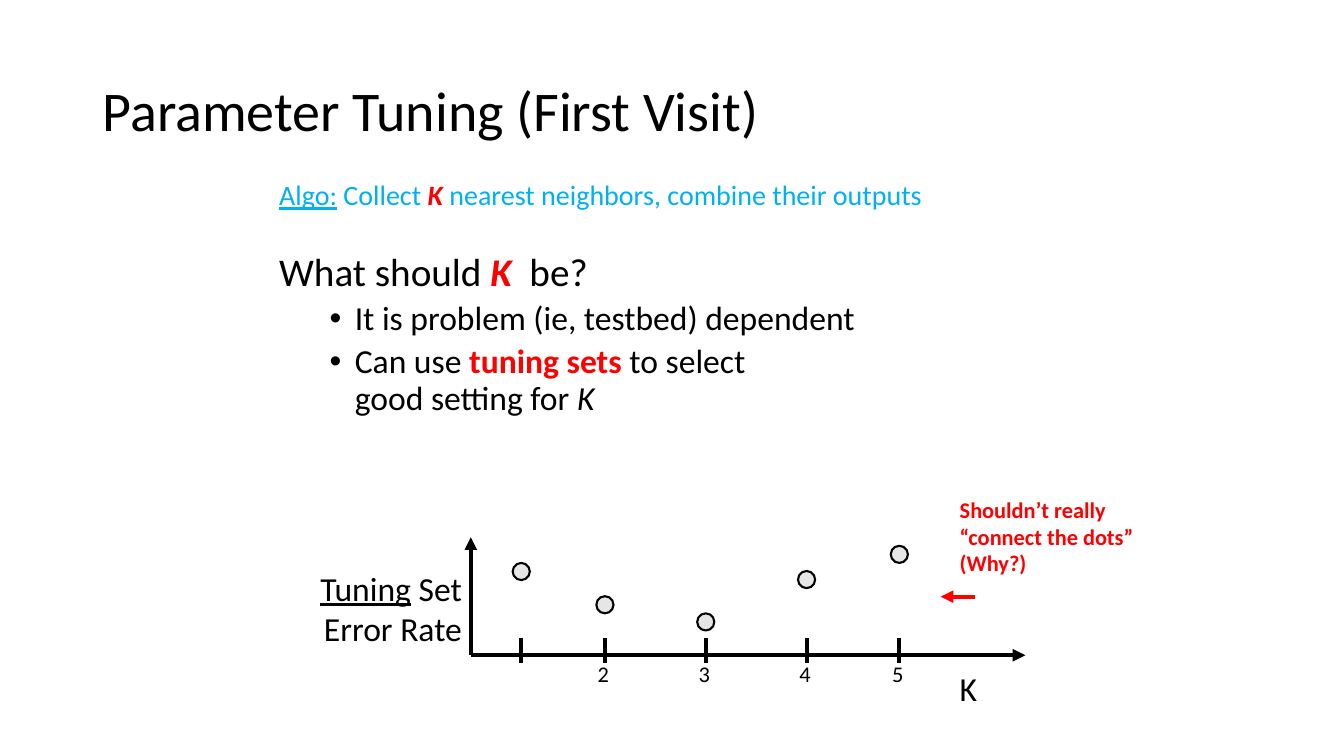
"""Build the slide on tuning K for nearest neighbors."""
from lxml.etree import SubElement
from pptx import Presentation
from pptx.dml.color import RGBColor
from pptx.enum.shapes import MSO_CONNECTOR, MSO_SHAPE
from pptx.enum.text import MSO_ANCHOR, PP_ALIGN
from pptx.oxml.ns import qn
from pptx.util import Inches, Pt

THEME = {
    "font": "Calibri",
    "black": RGBColor.from_string("000000"),
    "red": RGBColor.from_string("FF0000"),
    "blue": RGBColor.from_string("00B0F0"),
    "dot": RGBColor.from_string("E7E6E6"),
    "title": Pt(40),
    "question": Pt(28),
    "label": Pt(24),
    "algo": Pt(20),
    "small": Pt(16),
}
RED = {"color": "red"}
RED_BOLD = {"color": "red", "bold": True}
RED_K = {"color": "red", "bold": True, "italic": True}

prs = Presentation()
prs.slide_width, prs.slide_height = Inches(13.33), Inches(7.5)
s = prs.slides.add_slide(prs.slide_layouts[6])


def add_text(box, paragraphs, size, wrap=True, anchor=MSO_ANCHOR.TOP):
    """Add a text box; a paragraph is (paragraph format, runs)."""
    tf = s.shapes.add_textbox(*map(Inches, box)).text_frame
    tf.word_wrap, tf.vertical_anchor = wrap, anchor
    for i, (layout, runs) in enumerate(paragraphs):
        p = tf.paragraphs[0] if i == 0 else tf.add_paragraph()
        layout = dict(layout)
        p_size = layout.pop("size", size)
        if layout.pop("bullet", False):
            pPr = p._p.get_or_add_pPr()
            pPr.set("marL", str(Inches(0.75)))
            pPr.set("indent", str(Inches(-0.25)))
            SubElement(pPr, qn("a:buFont"), typeface="Arial")
            SubElement(pPr, qn("a:buChar"), char="•")
        for name, value in layout.items():
            setattr(p, name, value)
        for text, style in runs:
            if text == "\n":
                p.add_line_break()
                continue
            r = p.add_run()
            r.text = text
            look = {"name": THEME["font"], "size": THEME[p_size], **style}
            r.font.color.rgb = THEME[look.pop("color", "black")]
            for name, value in look.items():
                setattr(r.font, name, value)


def add_line(x1, y1, x2, y2, color="black", arrow=False):
    """Add a thick straight line, with an arrowhead at its end if asked."""
    sp = s.shapes.add_connector(MSO_CONNECTOR.STRAIGHT, *map(Inches, (x1, y1, x2, y2)))
    sp.line.color.rgb, sp.line.width = THEME[color], Pt(3)
    if arrow:
        SubElement(sp.line._get_or_add_ln(), qn("a:tailEnd"), type="triangle")
    SubElement(sp._element.spPr, qn("a:effectLst"))


add_text((0.92, 0.4, 11.5, 1.45),
         [({"line_spacing": 0.9}, [("Parameter Tuning (First Visit)", {})])],
         "title", anchor=MSO_ANCHOR.MIDDLE)

bullet = {"line_spacing": 0.9, "space_before": Pt(5), "bullet": True, "size": "label"}
add_text((2.67, 1.75, 8.58, 4.5), [
    ({"line_spacing": 0.9}, [
        ("Algo:", {"color": "blue", "underline": True}),
        (" Collect ", {"color": "blue"}),
        ("K ", RED_K),
        ("nearest neighbors, combine their outputs", {"color": "blue"})]),
    ({"line_spacing": 0.9, "space_before": Pt(29), "size": "question"}, [
        ("What should ", {}), ("K ", RED_K), (" be?", {})]),
    (bullet, [("It is problem (ie, testbed) dependent", {})]),
    (bullet, [
        ("Can use ", {}), ("tuning sets ", RED_BOLD), ("to select ", {}),
        ("\n", {}), ("good setting for ", {}), ("K", {"italic": True})]),
], "algo")

remark = ("Shouldn’t really", "“connect the dots”", "(Why?)")
add_text((9.42, 4.87, 2.22, 0.91), [({}, [(line, RED_BOLD)]) for line in remark],
         "small", wrap=False)

origin_x, origin_y = 4.67, 6.5
add_line(origin_x, origin_y, origin_x, 5.33, arrow=True)
add_line(origin_x, origin_y, 10.17, origin_y, arrow=True)

right = {"alignment": PP_ALIGN.RIGHT}
add_text((2.42, 5.58, 2.26, 0.91), [
    (right, [("Tuning", {"underline": True}), (" Set", {})]),
    (right, [("Error Rate", {})]),
], "label")

dot_size = 0.17
error_points = [("", 5.17, 5.67), ("2", 6, 6), ("3", 7, 6.17), ("4", 8, 5.75), ("5", 8.92, 5.5)]
for k, x, y in error_points:
    sp = s.shapes.add_shape(MSO_SHAPE.OVAL, Inches(x - dot_size / 2), Inches(y - dot_size / 2),
                            Inches(dot_size), Inches(dot_size))
    sp.shadow.inherit = False
    sp.fill.solid()
    sp.fill.fore_color.rgb = THEME["dot"]
    sp.line.color.rgb, sp.line.width = THEME["black"], Pt(1.5)
    add_line(x, 6.58, x, 6.33)
    if k:
        add_text((x - 0.17, origin_y, 0.33, 0.37), [({}, [(k, {})])], "small", wrap=False)

add_text((9.42, 6.58, 0.43, 0.51), [({}, [("K", {})])], "label", wrap=False)
add_line(9.67, 5.92, 9.33, 5.92, **RED, arrow=True)

prs.save("out.pptx")
